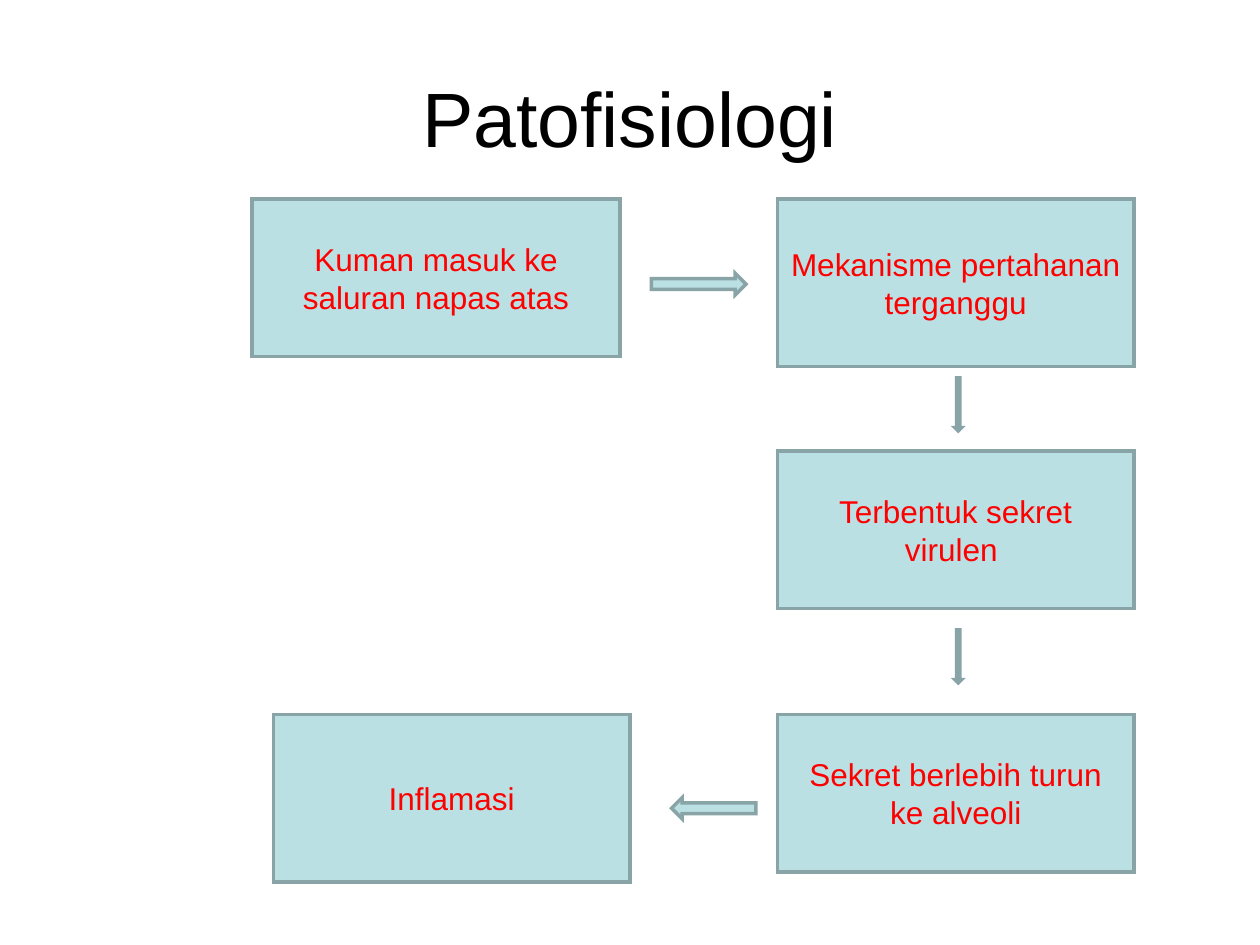
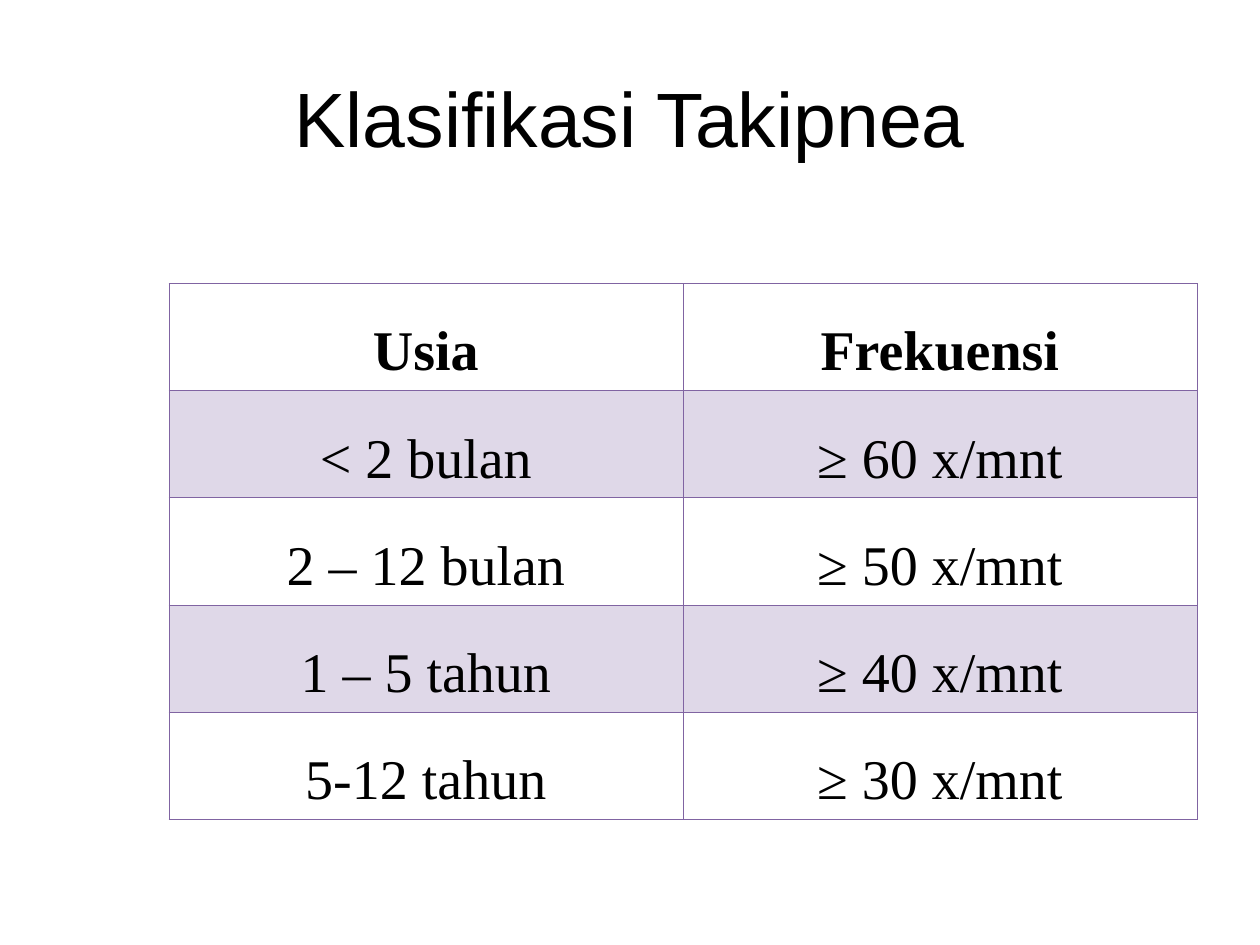
from lxml import etree
from pptx import Presentation
from pptx.dml.color import RGBColor
from pptx.enum import shapes, text
from pptx.oxml import ns
from pptx.util import Inches, Pt

COLORS = {
    "ink": "000000", "step_text": "FF0000", "step_fill": "BBE0E3",
    "step_line": "89A4A7", "grid": "8064A2", "band": "DFD8E8",
}
TITLE_FONT = {"name": "Arial", "size": Pt(44), "bold": False}
STEP_FONT = {"name": "Arial", "size": Pt(18), "bold": False}
CELL_FONT = {"name": "Times New Roman", "size": Pt(32), "bold": False}


def write(frame, words, font, color, anchor=text.MSO_ANCHOR.MIDDLE, spacing=None):
    """Fill a text frame with centred paragraphs, one per line of words."""
    frame.word_wrap = True
    frame.vertical_anchor = anchor
    for number, line in enumerate(words.split("\n")):
        paragraph = frame.add_paragraph() if number else frame.paragraphs[0]
        paragraph.alignment = text.PP_ALIGN.CENTER
        paragraph.line_spacing = spacing
        run = paragraph.add_run()
        run.text = line
        for attribute, value in font.items():
            setattr(run.font, attribute, value)
        run.font.color.rgb = RGBColor.from_string(COLORS[color])


def add_block(slide, kind, left, top, width, height):
    """Add a flowchart shape in the shared fill and sharp-cornered outline."""
    block = slide.shapes.add_shape(
        kind, Inches(left), Inches(top), Inches(width), Inches(height))
    block.shadow.inherit = False
    block.fill.solid()
    block.fill.fore_color.rgb = RGBColor.from_string(COLORS["step_fill"])
    block.line.color.rgb = RGBColor.from_string(COLORS["step_line"])
    block.line.width = Pt(2)
    outline = block._element.spPr.find(ns.qn("a:ln"))
    etree.SubElement(outline, ns.qn("a:miter"), lim="800000")
    return block


deck = Presentation()
deck.slide_width, deck.slide_height = Inches(10), Inches(7.5)

# Slides and their titles
slides = []
for heading in ("Patofisiologi", "Klasifikasi Takipnea"):
    slide = deck.slides.add_slide(deck.slide_layouts[6])
    title = slide.shapes.add_textbox(Inches(0.5), Inches(0.3), Inches(9), Inches(1.25))
    write(title.text_frame, heading, TITLE_FONT, "ink")
    slides.append(slide)
pathway, tachypnea = slides

# Steps of the disease pathway
steps = [
    ("Kuman masuk ke saluran napas atas", 2, 1.58, 2.92, 1.25),
    ("Mekanisme pertahanan terganggu", 6.17, 1.58, 2.83, 1.33),
    ("Terbentuk sekret virulen ", 6.17, 3.58, 2.83, 1.25),
    ("Sekret berlebih turun\nke alveoli", 6.17, 5.67, 2.83, 1.25),
    ("Inflamasi", 2.17, 5.67, 2.83, 1.33),
]
for words, *place in steps:
    step = add_block(pathway, shapes.MSO_SHAPE.RECTANGLE, *place)
    write(step.text_frame, words, STEP_FONT, "step_text")

# Arrows between the steps
arrows = [
    (shapes.MSO_SHAPE.RIGHT_ARROW, 5.17, 2.17, 0.75, 0.17),
    (shapes.MSO_SHAPE.DOWN_ARROW, 7.58, 3, 0.05, 0.42),
    (shapes.MSO_SHAPE.DOWN_ARROW, 7.58, 5, 0.05, 0.42),
    (shapes.MSO_SHAPE.LEFT_ARROW, 5.33, 6.33, 0.67, 0.17),
]
for arrow in arrows:
    add_block(pathway, *arrow)

# Breathing rate limits by age
rates = [
    ("Usia", "Frekuensi"),
    ("< 2 bulan", "≥ 60 x/mnt"),
    ("2 – 12 bulan", "≥ 50 x/mnt"),
    ("1 – 5 tahun", "≥ 40 x/mnt"),
    ("5-12 tahun", "≥ 30 x/mnt"),
]
table = tachypnea.shapes.add_table(
    len(rates), 2, Inches(1.34), Inches(2.25), Inches(8.16), Inches(4.2)).table
table.first_row = table.horz_banding = False

for row, entries in enumerate(rates):
    for column, entry in enumerate(entries):
        cell = table.cell(row, column)
        cell.margin_left = cell.margin_right = Inches(0.08)
        cell.margin_bottom = 0
        write(cell.text_frame, entry, CELL_FONT | {"bold": row == 0}, "ink",
              text.MSO_ANCHOR.TOP, 1.5)

        # Thin grid
        properties = cell._tc.get_or_add_tcPr()
        for side in "LRTB":
            border = etree.SubElement(properties, ns.qn(f"a:ln{side}"), w=str(Pt(0.45)))
            paint = etree.SubElement(border, ns.qn("a:solidFill"))
            etree.SubElement(paint, ns.qn("a:srgbClr"), val=COLORS["grid"])

        # Every second row is tinted
        if row % 2:
            cell.fill.solid()
            cell.fill.fore_color.rgb = RGBColor.from_string(COLORS["band"])
        else:
            cell.fill.background()

deck.save("out.pptx")
